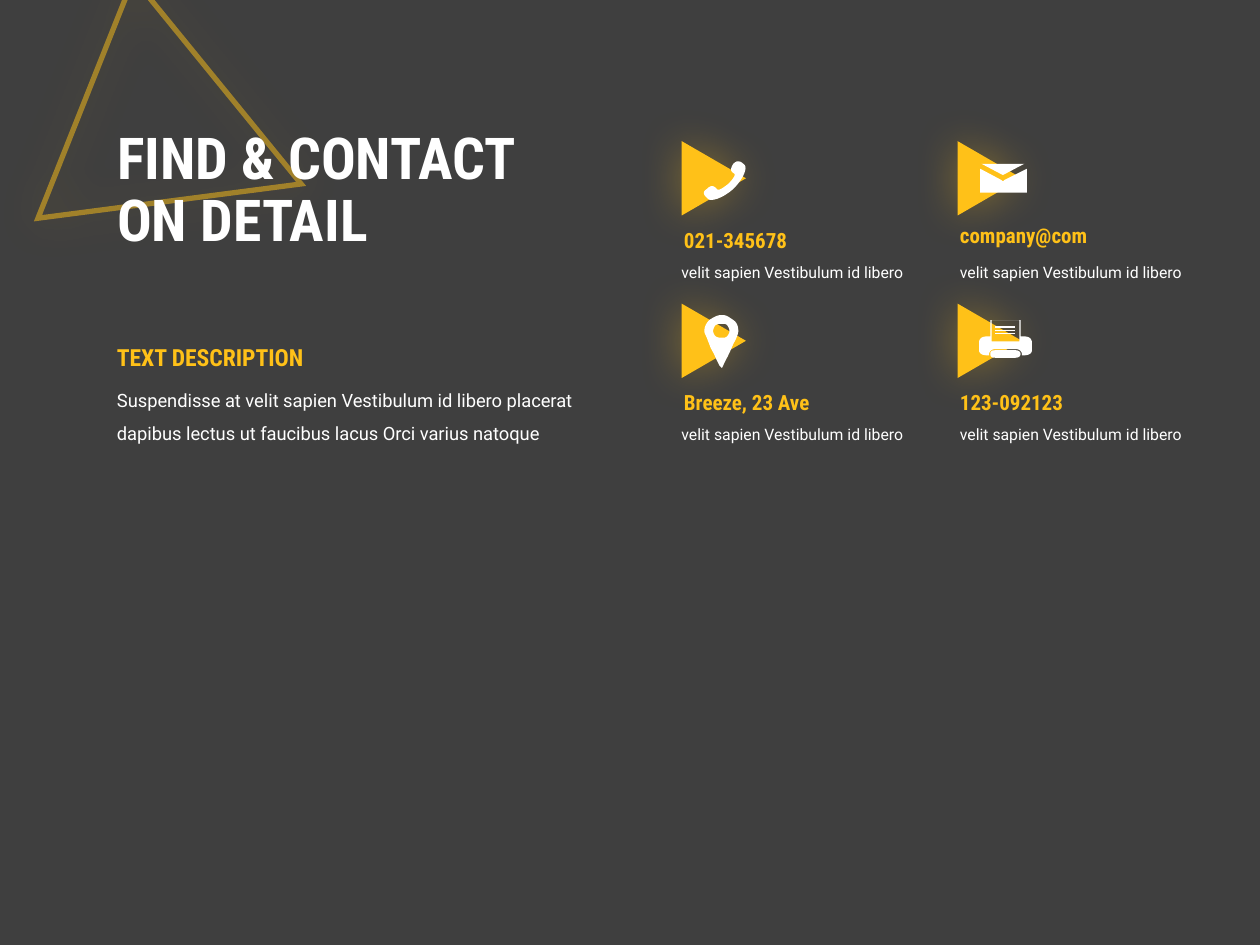
from lxml import etree
from pptx import Presentation
from pptx import util as u
from pptx.dml.color import RGBColor
from pptx.enum import shapes, text
from pptx.oxml import ns

GOLD, WHITE, GREY = "FFC118", "FFFFFF", "3F3F3F"
HEAD, BODY = "Roboto Condensed", "Roboto"

PHONE = [
    "5.83 1.38|5.8 1.36 5.79 1.35 5.82 1.3|5.86 1.26 5.89 1.29 5.91 1.31"
    "|5.93 1.33 5.91 1.41 5.82 1.5|5.73 1.58 5.64 1.6 5.62 1.58"
    "|5.6 1.56 5.56 1.53 5.61 1.5|5.65 1.46 5.67 1.48 5.69 1.5"
    "|5.7 1.52 5.74 1.49 5.78 1.46|5.81 1.43 5.84 1.39 5.83 1.38"
]
MAIL = [
    "7.97 1.43|8.15 1.34|8.15 1.53|7.78 1.53|7.78 1.34|7.95 1.43|7.96 1.44",
    "8.13 1.3|7.96 1.39|7.79 1.3",
]
PIN = [
    "5.63 2.54|5.66 2.52 5.69 2.5 5.73 2.5|5.77 2.5 5.79 2.52 5.82 2.54"
    "|5.85 2.56 5.86 2.59 5.86 2.63|5.86 2.64 5.85 2.68 5.82 2.73"
    "|5.8 2.78 5.78 2.82 5.76 2.86|5.73 2.92|5.71 2.9|5.68 2.84"
    "|5.67 2.81 5.65 2.78 5.64 2.76|5.63 2.73 5.62 2.71 5.61 2.68"
    "|5.6 2.66 5.59 2.64 5.59 2.63|5.59 2.59 5.61 2.56 5.63 2.54",
    "5.68 2.67|5.7 2.68 5.71 2.68 5.73 2.68|5.75 2.68 5.76 2.68 5.77 2.67"
    "|5.78 2.66 5.79 2.64 5.79 2.63|5.79 2.61 5.78 2.59 5.77 2.58"
    "|5.76 2.57 5.75 2.57 5.73 2.57|5.71 2.57 5.7 2.57 5.68 2.58"
    "|5.67 2.59 5.66 2.61 5.66 2.63|5.66 2.64 5.67 2.66 5.68 2.67",
]
TRAY = [
    "8.06 2.78|7.9 2.78|7.87 2.78 7.86 2.79 7.86 2.81|7.86 2.83 7.87 2.84 7.9 2.84"
    "|8.06 2.84|8.08 2.84 8.1 2.83 8.1 2.81|8.1 2.79 8.08 2.78 8.06 2.78"
]
CASE = [
    "8.13 2.67|8.1 2.67|8.1 2.54|7.86 2.54|7.86 2.67|7.83 2.67"
    "|7.79 2.67 7.77 2.69 7.77 2.72|7.77 2.78|7.77 2.8 7.79 2.82 7.83 2.82"
    "|7.85 2.82|7.85 2.81|7.85 2.79 7.87 2.77 7.9 2.77|8.06 2.77"
    "|8.09 2.77 8.11 2.79 8.11 2.81|8.11 2.82|8.13 2.82"
    "|8.17 2.82 8.19 2.8 8.19 2.78|8.19 2.72|8.19 2.69 8.17 2.67 8.13 2.67",
    "7.87 2.54|8.09 2.54|8.09 2.71|7.87 2.71",
]
RULES = [[f"7.9 {y}|8.06 {y}|8.06 {y + 0.01:.2f}|7.9 {y + 0.01:.2f}"]
         for y in (2.59, 2.62, 2.64)]


def tint(code):
    return RGBColor.from_string(code)


def trace(line):
    points = []
    for part in line.split("|"):
        nums = [float(n) for n in part.split()]
        if len(nums) == 2:
            points.append(tuple(nums))
            continue
        knots = [points[-1], *zip(nums[::2], nums[1::2])]
        for step in range(1, 9):
            t = step / 8
            bends = ((1 - t) ** 3, 3 * t * (1 - t) ** 2, 3 * t * t * (1 - t), t ** 3)
            points.append(tuple(sum(b * k[i] for b, k in zip(bends, knots))
                                for i in (0, 1)))
    return [(u.Inches(x), u.Inches(y)) for x, y in points]


class Deck:
    def __init__(self):
        self.show = Presentation()
        self.show.slide_width, self.show.slide_height = u.Inches(10), u.Inches(7.5)
        self.slide = self.show.slides.add_slide(self.show.slide_layouts[0])
        fill = self.slide.background.fill
        fill.solid()
        fill.fore_color.rgb = tint(GREY)
        spare = self.slide.placeholders[1].element
        spare.getparent().remove(spare)

    def words(self, frame, lines, size, font, color, bold, space):
        frame.word_wrap = True
        para = frame.paragraphs[0]
        para.alignment = text.PP_ALIGN.LEFT
        para.line_spacing = space
        for i, line in enumerate(lines):
            if i:
                para.add_line_break()
            run = para.add_run()
            run.text = line
            run.font.size, run.font.name, run.font.bold = u.Pt(size), font, bold
            run.font.color.rgb = tint(color)

    def title(self, box, lines):
        shape = self.slide.shapes.title
        shape.left, shape.top, shape.width, shape.height = map(u.Inches, box)
        frame = shape.text_frame
        frame.auto_size = text.MSO_AUTO_SIZE.NONE
        frame.vertical_anchor = text.MSO_ANCHOR.MIDDLE
        self.words(frame, lines, 33, HEAD, WHITE, True, 0.9)

    def label(self, box, line, size, head=False):
        frame = self.slide.shapes.add_textbox(*map(u.Inches, box)).text_frame
        frame.auto_size = text.MSO_AUTO_SIZE.SHAPE_TO_FIT_TEXT
        style = (HEAD, GOLD, True, 1.0) if head else (BODY, WHITE, False, 1.5)
        self.words(frame, [line], size, *style)

    def wedge(self, box, turn, hollow=False):
        shape = self.slide.shapes.add_shape(
            shapes.MSO_SHAPE.ISOSCELES_TRIANGLE, *map(u.Inches, box))
        shape.rotation = turn
        props = shape.element.spPr
        if hollow:
            shape.fill.background()
            shape.line.width = u.Pt(3)
            shape.line.color.rgb = tint(GOLD)
            edge = props.find(ns.qn("a:ln"))
            shade = edge.find(".//" + ns.qn("a:srgbClr"))
            etree.SubElement(shade, ns.qn("a:alpha"), val="50000")
            etree.SubElement(edge, ns.qn("a:miter"), lim="800000")
        else:
            shape.fill.solid()
            shape.fill.fore_color.rgb = tint(GOLD)
            shape.line.fill.background()
        shape.shadow.inherit = False
        glow = etree.SubElement(
            props.find(ns.qn("a:effectLst")), ns.qn("a:outerShdw"),
            blurRad=str(u.Pt(25)), dist="0", dir="0", algn="ctr", rotWithShape="0")
        shade = etree.SubElement(glow, ns.qn("a:srgbClr"), val=GOLD)
        etree.SubElement(shade, ns.qn("a:alpha"), val="35000")

    def icon(self, *parts):
        home = self.slide.shapes
        if len(parts) > 1:
            home = home.add_group_shape().shapes
        for part in parts:
            rings = [trace(line) for line in part]
            pen = home.build_freeform(*rings[0][0], scale=1.0)
            for i, ring in enumerate(rings):
                if i:
                    pen.move_to(*ring[0])
                pen.add_line_segments(ring[1:], close=True)
            shape = pen.convert_to_shape()
            shape.shadow.inherit = False
            shape.fill.solid()
            shape.fill.fore_color.rgb = tint(WHITE)
            shape.line.fill.background()


def main():
    deck = Deck()
    deck.wedge((0.51, 0.2, 2.05, 1.84), 111.7, hollow=True)
    deck.title((0.83, 0.73, 4.22, 1.58), ["FIND & CONTACT", "ON DETAIL"])
    title = deck.slide.shapes.title.element
    title.getparent().append(title)
    deck.label((0.83, 2.95, 3.85, 0.6),
               "Suspendisse at velit sapien Vestibulum id libero placerat "
               "dapibus lectus ut faucibus lacus Orci varius natoque", 10.5)
    deck.label((0.83, 2.67, 1.84, 0.33), "TEXT DESCRIPTION", 13.5, head=True)

    cards = [
        (0, 0, 1.76, "021-345678", [PHONE]),
        (1, 0, 1.72, "company@com", [MAIL]),
        (0, 1, 3.04, "Breeze, 23 Ave", [PIN]),
        (1, 1, 3.04, "123-092123", [TRAY, CASE, *RULES]),
    ]
    for col, row, top, name, parts in cards:
        drop = 1.29 * row
        deck.wedge((5.37 + 2.19 * col, 1.16 + drop, 0.59, 0.51), 90)
        deck.icon(*parts)
        deck.label((5.33 + 2.19 * col, top, 1.45, 0.3), name, 12, head=True)
        deck.label((5.31 + 2.21 * col, 1.96 + drop, 1.99, 0.3),
                   "velit sapien Vestibulum id libero", 9)
    deck.show.save("out.pptx")


if __name__ == "__main__":
    main()
